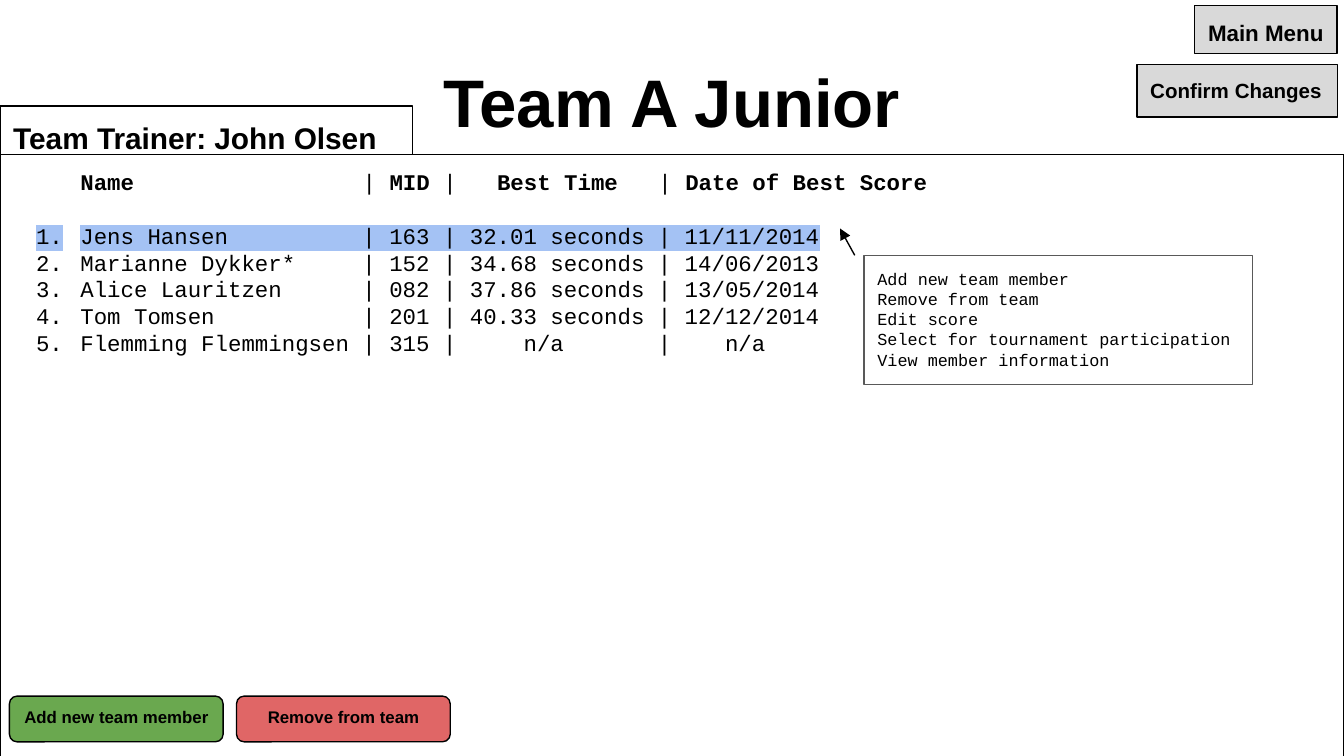
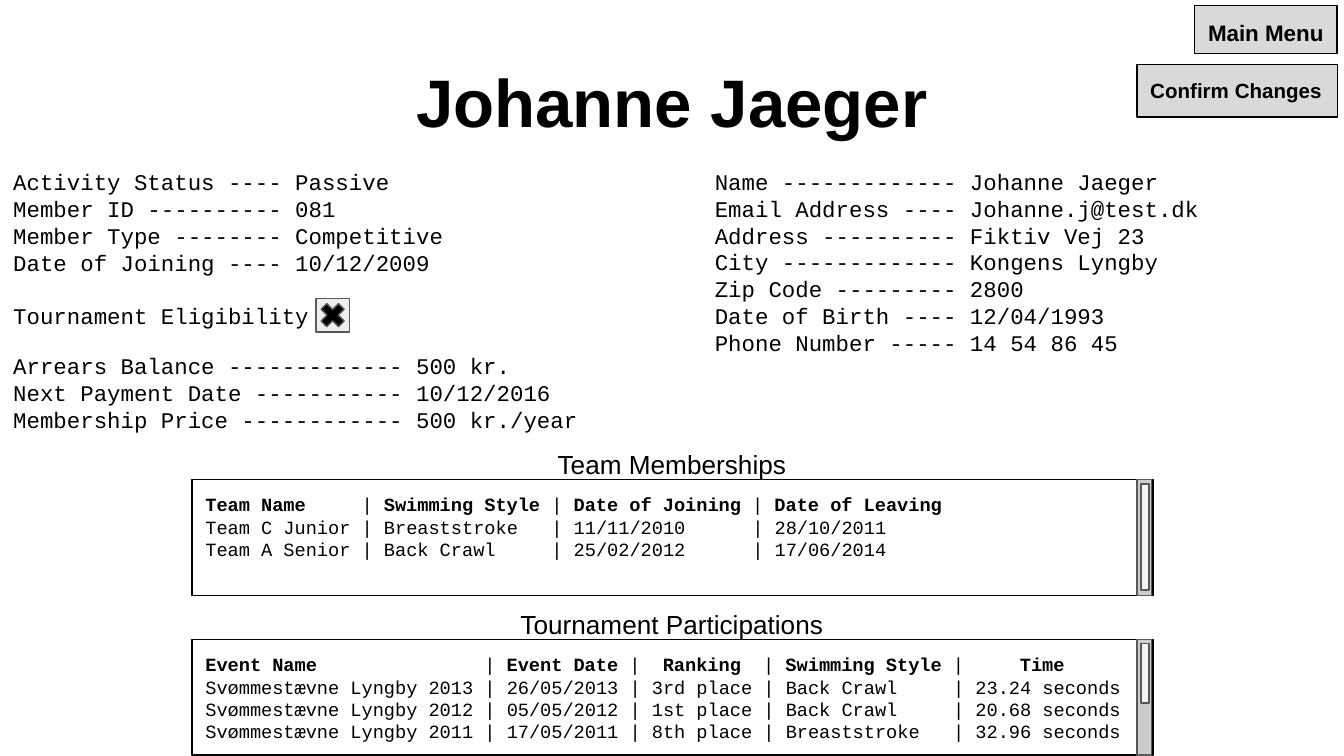
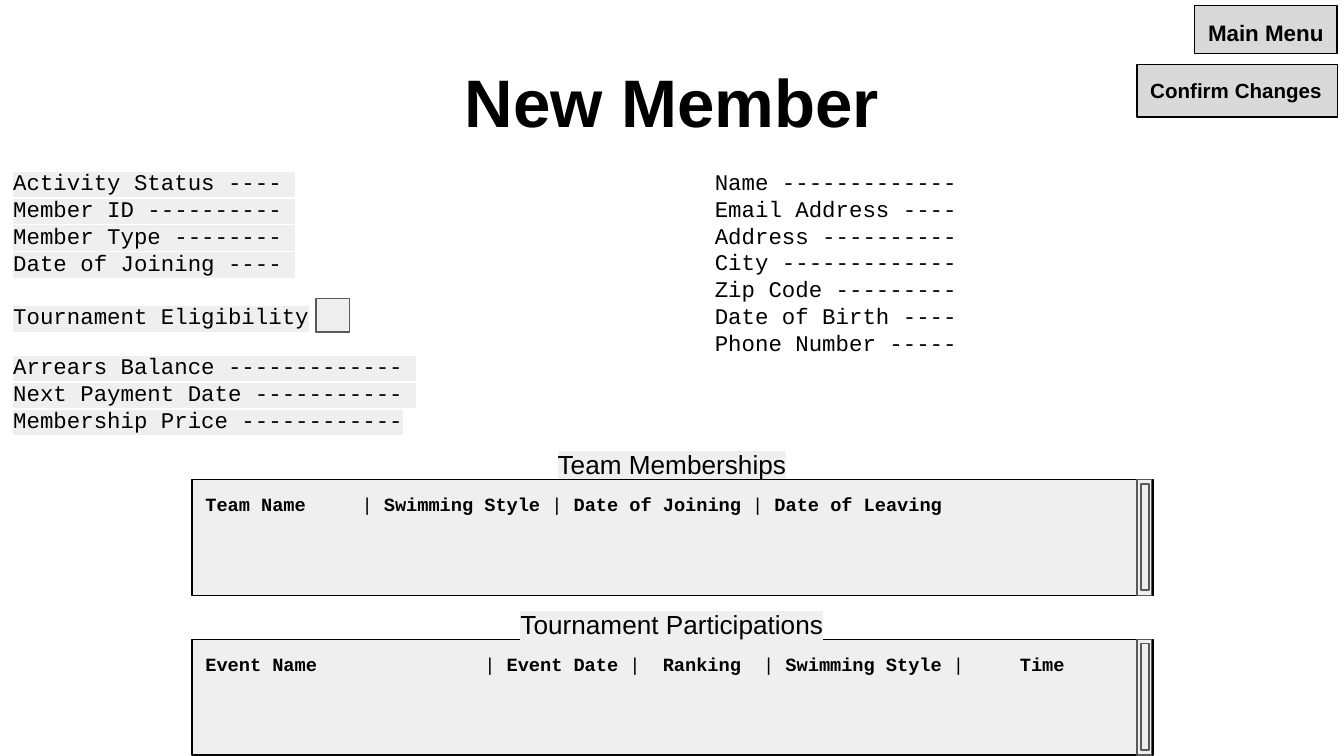
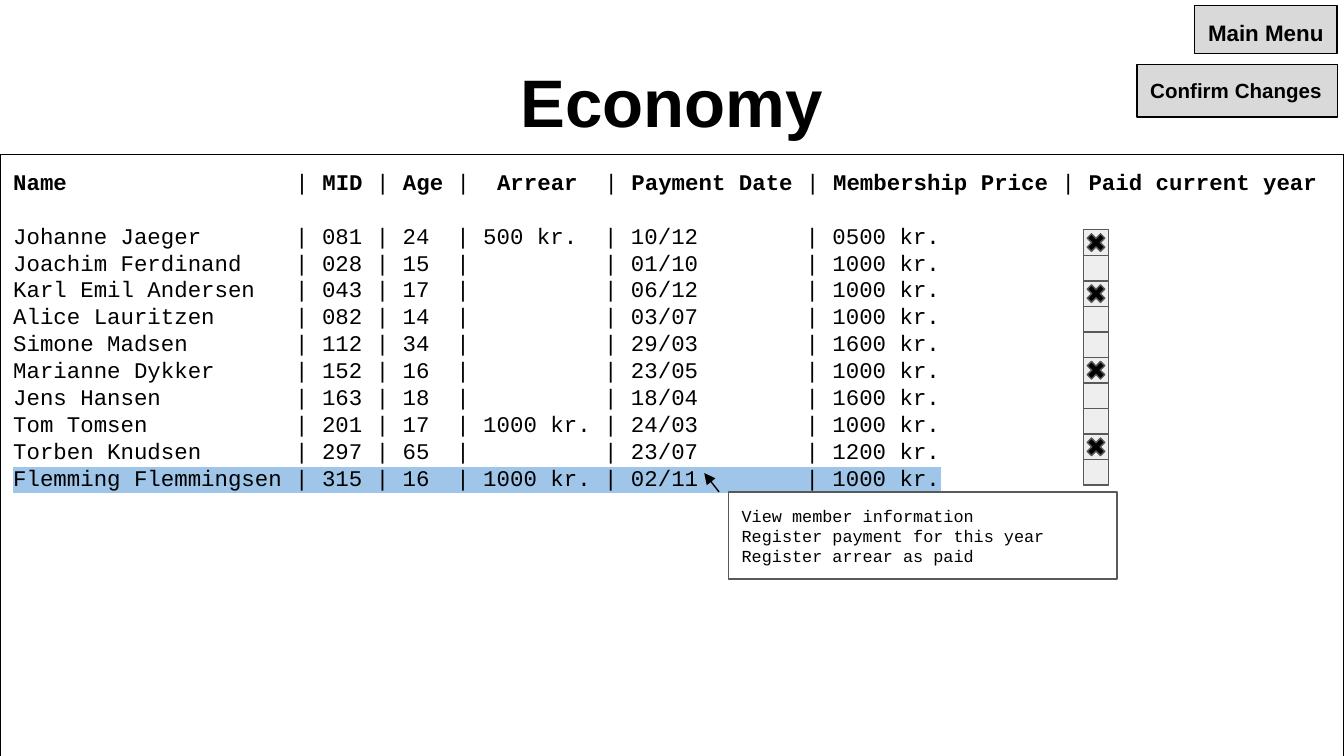
from dataclasses import dataclass
from typing import Optional, Sequence

from lxml.etree import SubElement
from pptx import Presentation
from pptx.dml.color import RGBColor
from pptx.enum.shapes import MSO_CONNECTOR, MSO_SHAPE
from pptx.enum.text import MSO_ANCHOR, PP_ALIGN
from pptx.oxml.ns import qn
from pptx.util import Inches, Pt

COLORS = {
    "black": "000000", "white": "FFFFFF", "outline": "595959",
    "button": "D9D9D9", "add": "6AA84F", "remove": "E06666",
    "track": "CCCCCC", "thumb": "F3F3F3", "check": "EEEEEE",
    "disabled": "EFEFEF", "member_row": "A4C2F4", "economy_row": "9FC5E8",
}
SANS, MONO = "Arial", "Courier New"
LINE_HEIGHT = 1.2
PANEL_TOP = 1.15
CHECK_SIZE = 0.19


@dataclass(frozen=True)
class Area:
    """A rectangle in inches."""
    left: float
    top: float
    width: float
    height: float

    def lengths(self) -> list:
        """Return the four values as slide lengths."""
        return [Inches(v) for v in (self.left, self.top, self.width, self.height)]


@dataclass(frozen=True)
class Style:
    """The look of a block of text."""
    size: float
    font: str = MONO
    bold: bool = False
    align: PP_ALIGN = PP_ALIGN.LEFT


@dataclass(frozen=True)
class Line:
    """One paragraph of text."""
    text: str
    header: bool = False
    gap: bool = False
    indented: bool = False
    numbered: bool = False
    mark: Optional[str] = None


@dataclass(frozen=True)
class Listing:
    """A heading above a scrolling list of records."""
    heading: str
    top: float
    widths: Sequence[int]
    header: Sequence[str]
    rows: Sequence[Sequence[str]]
    thumb: float


@dataclass(frozen=True)
class Member:
    """Values of a member page, in the order of the field labels."""
    title: str
    status: Sequence[str]
    payment: Sequence[Optional[str]]
    contact: Sequence[Optional[str]]
    eligible: bool
    blank: bool


BODY = Style(12)
LIST = Style(10)
MENU = Style(9)
TITLE = Style(36, SANS, True, PP_ALIGN.CENTER)
HEADING = Style(14, SANS, align=PP_ALIGN.CENTER)
ACTION = Style(9, SANS, True, PP_ALIGN.CENTER)

STATUS_LABELS = ("Activity Status", "Member ID", "Member Type", "Date of Joining")
PAYMENT_LABELS = ("Arrears Balance", "Next Payment Date", "Membership Price")
CONTACT_LABELS = ("Name", "Email Address", "Address", "City", "Zip Code",
                  "Date of Birth", "Phone Number")

TEAM_WIDTHS = (20, 3, 13, 18)
TEAM_HEADER = ("Name", "MID", "Best Time".center(13), "Date of Best Score")
TEAM_ROWS = (
    ("Jens Hansen", "163", "32.01 seconds", "11/11/2014"),
    ("Marianne Dykker*", "152", "34.68 seconds", "14/06/2013"),
    ("Alice Lauritzen", "082", "37.86 seconds", "13/05/2014"),
    ("Tom Tomsen", "201", "40.33 seconds", "12/12/2014"),
    ("Flemming Flemmingsen", "315", "n/a".center(11), "n/a".center(10)),
)
ECONOMY_WIDTHS = (20, 3, 3, 8, 12, 16, 17)
ECONOMY_HEADER = ("Name", "MID", "Age", "Arrear".center(8), "Payment Date",
                  "Membership Price", "Paid current year")
ECONOMY_ROWS = (
    ("Johanne Jaeger", "081", "24", "500 kr.", "10/12", "0500 kr."),
    ("Joachim Ferdinand", "028", "15", "", "01/10", "1000 kr."),
    ("Karl Emil Andersen", "043", "17", "", "06/12", "1000 kr."),
    ("Alice Lauritzen", "082", "14", "", "03/07", "1000 kr."),
    ("Simone Madsen", "112", "34", "", "29/03", "1600 kr."),
    ("Marianne Dykker", "152", "16", "", "23/05", "1000 kr."),
    ("Jens Hansen", "163", "18", "", "18/04", "1600 kr."),
    ("Tom Tomsen", "201", "17", "1000 kr.", "24/03", "1000 kr."),
    ("Torben Knudsen", "297", "65", "", "23/07", "1200 kr."),
    ("Flemming Flemmingsen", "315", "16", "1000 kr.", "02/11", "1000 kr."),
)
PAID_ROWS = {0, 2, 5, 8}

MEMBERSHIPS = Listing(
    "Team Memberships", 3.57, (13, 14, 15, 15),
    ("Team Name", "Swimming Style", "Date of Joining", "Date of Leaving"),
    (("Team C Junior", "Breaststroke", "11/11/2010", "28/10/2011"),
     ("Team A Senior", "Back Crawl", "25/02/2012", "17/06/2014")),
    0.79)
PARTICIPATIONS = Listing(
    "Tournament Participations", 4.76, (24, 10, 9, 14, 13),
    ("Event Name", "Event Date", "Ranking".center(9), "Swimming Style",
     "Time".center(12)),
    (("Svømmestævne Lyngby 2013", "26/05/2013", "3rd place", "Back Crawl",
      "23.24 seconds"),
     ("Svømmestævne Lyngby 2012", "05/05/2012", "1st place", "Back Crawl",
      "20.68 seconds"),
     ("Svømmestævne Lyngby 2011", "17/05/2011", "8th place", "Breaststroke",
      "32.96 seconds")),
    0.44)

JOHANNE = Member(
    "Johanne Jaeger",
    ("Passive", "081", "Competitive", "10/12/2009"),
    ("500 kr.", "10/12/2016", "500 kr./year"),
    ("Johanne Jaeger", "Johanne.j@test.dk", "Fiktiv Vej 23", "Kongens Lyngby",
     "2800", "12/04/1993", "14 54 86 45"),
    eligible=True, blank=False)
NEW_MEMBER = Member("New Member", ("",) * 4, ("", "", None), (None,) * 7,
                    eligible=False, blank=True)


def rgb(name: str) -> RGBColor:
    """Look up a named colour."""
    return RGBColor.from_string(COLORS[name])


def record(cells: Sequence[str], widths: Sequence[int]) -> str:
    """Lay out one record in fixed-width columns."""
    return " | ".join(c.ljust(w) for c, w in zip(cells, widths)).rstrip()


def fields(labels: Sequence[str], values: Sequence[Optional[str]], width: int,
           mark: Optional[str] = None) -> list[Line]:
    """Join labels and values with dashes; None ends the line at the dashes."""
    lines = []
    for label, value in zip(labels, values):
        lead = f"{label + ' ':-<{width}}"
        lines.append(Line(lead if value is None else f"{lead} {value}", mark=mark))
    return lines


def highlight(span, color: str) -> None:
    """Give a formatted run a background colour."""
    properties = span.font._element
    mark = SubElement(properties, qn("a:highlight"))
    SubElement(mark, qn("a:srgbClr"), val=COLORS[color])
    properties.find(qn("a:latin")).addprevious(mark)


def set_indent(para, numbered: bool) -> None:
    """Indent a paragraph and number it on request."""
    properties = para._p.get_or_add_pPr()
    properties.set("marL", str(Inches(0.5)))
    properties.set("indent", str(Inches(-0.33 if numbered else 0)))
    if numbered:
        SubElement(properties, qn("a:buAutoNum"), type="arabicPeriod")


def write(shape, lines: Sequence[Line], style: Style) -> None:
    """Fill a shape with lines of text in one style."""
    frame = shape.text_frame
    frame.word_wrap = True
    frame.vertical_anchor = MSO_ANCHOR.TOP
    frame.margin_left = frame.margin_right = Inches(0.1)
    frame.margin_top = frame.margin_bottom = Inches(0.1)
    for index, line in enumerate(lines):
        para = frame.paragraphs[0] if index == 0 else frame.add_paragraph()
        para.alignment = style.align
        para.line_spacing = Pt(style.size * LINE_HEIGHT)
        if line.gap:
            para.space_before = Pt(style.size * LINE_HEIGHT)
        if line.indented:
            set_indent(para, line.numbered)
        pieces = line.text.replace("|", "\n|\n").split("\n") if line.header else [line.text]
        for piece in pieces:
            span = para.add_run()
            span.text = piece
            span.font.size = Pt(style.size)
            span.font.bold = style.bold or (line.header and piece != "|")
            span.font.color.rgb = rgb("black")
            span.font.name = style.font
            if line.mark:
                highlight(span, line.mark)


def add_text(page, area: Area, lines: Sequence[Line], style: Style) -> None:
    """Add a plain text box."""
    write(page.shapes.add_textbox(*area.lengths()), lines, style)


def add_box(page, area: Area, fill: Optional[str] = None, line: str = "black",
            kind: MSO_SHAPE = MSO_SHAPE.RECTANGLE):
    """Add an outlined shape, without fill unless one is named."""
    shape = page.shapes.add_shape(kind, *area.lengths())
    shape.shadow.inherit = False
    if fill:
        shape.fill.solid()
        shape.fill.fore_color.rgb = rgb(fill)
    else:
        shape.fill.background()
    shape.line.color.rgb = rgb(line)
    shape.line.width = Pt(0.75)
    return shape


def add_checkbox(page, left: float, top: float, size: float, checked: bool) -> None:
    """Add a check box, crossed when checked."""
    area = Area(left, top, size, size)
    add_box(page, area, "check", "outline")
    if checked:
        cross = add_box(page, area, "black", "outline", MSO_SHAPE.MATH_MULTIPLY)
        cross.adjustments[0] = 0.235


def add_action(page, left: float, label: str, fill: str) -> None:
    """Add a rounded button with its label at the foot of the page."""
    area = Area(left, 5.18, 1.59, 0.34)
    add_box(page, area, fill, kind=MSO_SHAPE.ROUNDED_RECTANGLE)
    add_text(page, area, [Line(label)], ACTION)


def add_menu(page, area: Area, items: Sequence[str], rise: float) -> None:
    """Add a context menu and the pointer that opened it."""
    pointer = page.shapes.add_connector(
        MSO_CONNECTOR.STRAIGHT, Inches(area.left - 0.07), Inches(area.top),
        Inches(area.left - 0.18), Inches(area.top - rise))
    pointer.line.color.rgb = rgb("black")
    pointer.line.width = Pt(0.75)
    SubElement(pointer.line._get_or_add_ln(), qn("a:tailEnd"), type="triangle")
    SubElement(pointer._element.spPr, qn("a:effectLst"))
    add_box(page, area, "white", "outline")
    add_text(page, area, [Line(item) for item in items], MENU)


def add_panel(page, lines: Sequence[Line]) -> None:
    """Add the large outlined panel that holds the records."""
    write(add_box(page, Area(0, PANEL_TOP, 10, 4.48)), lines, BODY)


def add_listing(page, listing: Listing, blank: bool) -> None:
    """Add a list with its header and scroll bar."""
    fill = "disabled" if blank else None
    lines = [Line(record(listing.header, listing.widths), header=True)]
    if not blank:
        lines += [Line(record(row, listing.widths)) for row in listing.rows]
    write(add_box(page, Area(1.43, listing.top, 7.15, 0.86), fill), lines, LIST)
    add_box(page, Area(8.46, listing.top, 0.11, 0.86), fill or "track", "outline")
    thumb = 0.79 if blank else listing.thumb
    add_box(page, Area(8.49, listing.top + 0.03, 0.06, thumb), fill or "thumb", "outline")


def add_heading(page, listing: Listing, mark: Optional[str]) -> None:
    """Add the centred heading right above a list."""
    add_text(page, Area(2.78, listing.top - 0.33, 4.44, 0.33),
             [Line(listing.heading, mark=mark)], HEADING)


def add_page(deck, title: str):
    """Add a page with its title and the two navigation buttons."""
    page = deck.slides.add_slide(deck.slide_layouts[6])
    add_text(page, Area(0, 0.35, 10, 0.79), [Line(title)], TITLE)
    for label, area, size in (
            ("Main Menu", Area(8.89, 0.04, 1.06, 0.36), 12),
            ("Confirm Changes", Area(8.46, 0.48, 1.49, 0.39), 11)):
        write(add_box(page, area, "button"), [Line(label)], Style(size, SANS, True))
    return page


def add_team_page(deck) -> None:
    """Build the page of a team and its members."""
    page = add_page(deck, "Team A Junior")
    lines = [Line(record(TEAM_HEADER, TEAM_WIDTHS), header=True, indented=True)]
    lines += [Line(record(row, TEAM_WIDTHS), gap=index == 0, indented=True,
                   numbered=True, mark=None if index else "member_row")
              for index, row in enumerate(TEAM_ROWS)]
    add_panel(page, lines)
    add_action(page, 0.07, "Add new team member", "add")
    add_action(page, 1.76, "Remove from team", "remove")
    add_menu(page, Area(6.43, 1.9, 2.89, 0.96),
             ("Add new team member", "Remove from team", "Edit score",
              "Select for tournament participation", "View member information"), 0.2)
    trainer = add_box(page, Area(0, 0.79, 3.07, 0.36))
    write(trainer, [Line("Team Trainer: John Olsen")], Style(16, SANS, True))


def add_member_page(deck, member: Member) -> None:
    """Build the page of one member, filled in or blank."""
    page = add_page(deck, member.title)
    mark = "disabled" if member.blank else None
    status = fields(STATUS_LABELS, member.status, 20, mark)
    status.append(Line("Tournament Eligibility", gap=True, mark=mark))
    add_text(page, Area(0, PANEL_TOP, 4.44, 1.32), status, BODY)
    add_listing(page, PARTICIPATIONS, member.blank)
    add_text(page, Area(5.22, PANEL_TOP, 4.78, 2.1),
             fields(CONTACT_LABELS, member.contact, 18), BODY)
    add_heading(page, MEMBERSHIPS, mark)
    add_text(page, Area(0, 2.52, 4.44, 0.86),
             fields(PAYMENT_LABELS, member.payment, 29, mark), BODY)
    add_heading(page, PARTICIPATIONS, mark)
    add_listing(page, MEMBERSHIPS, member.blank)
    add_checkbox(page, 2.35, 2.22, 0.25, member.eligible)


def add_economy_page(deck) -> None:
    """Build the page of payments."""
    page = add_page(deck, "Economy")
    last = len(ECONOMY_ROWS) - 1
    lines = [Line(record(ECONOMY_HEADER, ECONOMY_WIDTHS), header=True)]
    lines += [Line(record(row, ECONOMY_WIDTHS), gap=index == 0,
                   mark="economy_row" if index == last else None)
              for index, row in enumerate(ECONOMY_ROWS)]
    add_panel(page, lines)
    add_menu(page, Area(5.42, 3.66, 2.89, 0.65),
             ("View member information", "Register payment for this year",
              "Register arrear as paid"), 0.14)
    for index in range(len(ECONOMY_ROWS)):
        add_checkbox(page, 8.06, 1.71 + index * CHECK_SIZE, CHECK_SIZE,
                     index in PAID_ROWS)


def main() -> None:
    """Build and save the deck."""
    deck = Presentation()
    deck.slide_width = Inches(10)
    deck.slide_height = Inches(10) * 9 // 16
    add_team_page(deck)
    add_member_page(deck, JOHANNE)
    add_member_page(deck, NEW_MEMBER)
    add_economy_page(deck)
    deck.save("out.pptx")


main()
